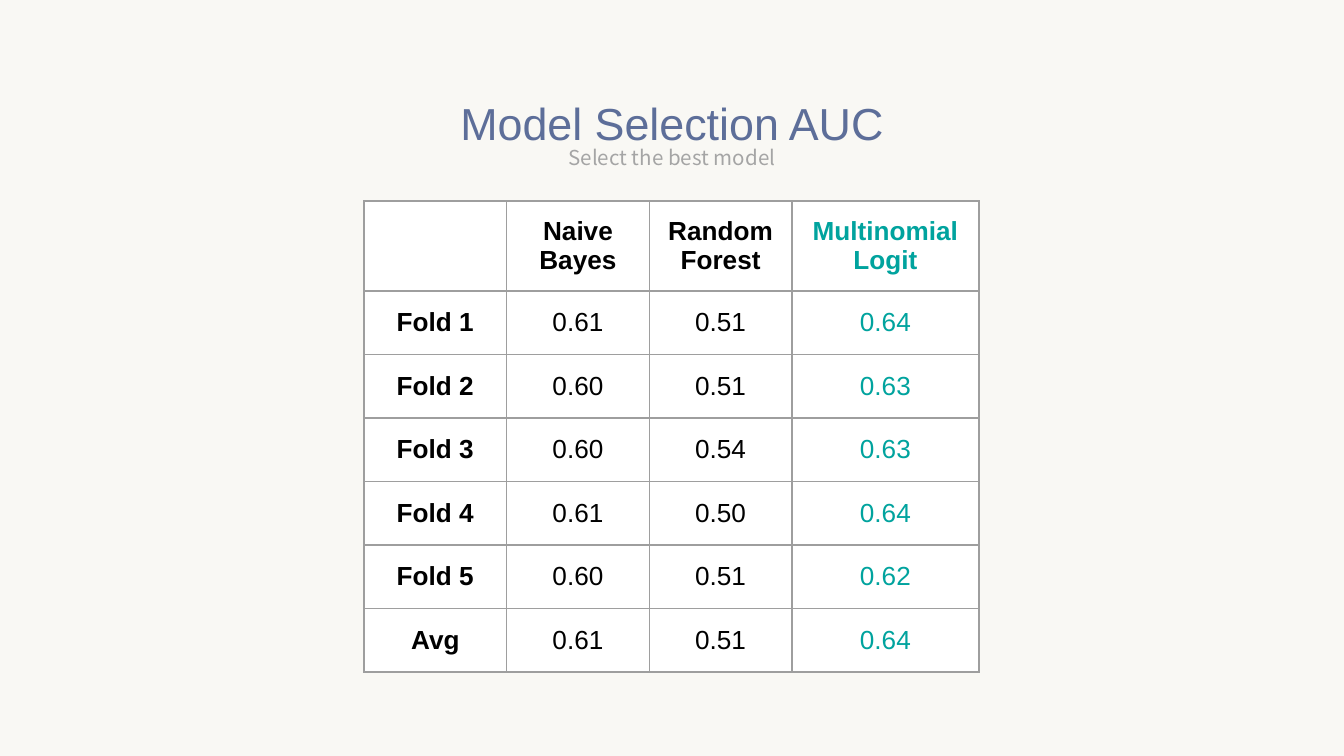
from lxml.etree import SubElement
from pptx import Presentation
from pptx.dml.color import RGBColor
from pptx.enum.text import MSO_ANCHOR as Anchor, PP_ALIGN as Align
from pptx.oxml.ns import qn
from pptx.util import Pt

PX = 914400 / 134.4
COLORS = {
    "background": "F9F8F4",
    "title": "5D6E99",
    "subtitle": "A5A5A5",
    "cell": "FFFFFF",
    "border": "9E9E9E",
    "text": "000000",
    "best": "00A39E",
}
MODELS = ["", "Naive Bayes", "Random Forest", "Multinomial Logit"]
SCORES = [
    ["Fold 1", "0.61", "0.51", "0.64"],
    ["Fold 2", "0.60", "0.51", "0.63"],
    ["Fold 3", "0.60", "0.54", "0.63"],
    ["Fold 4", "0.61", "0.50", "0.64"],
    ["Fold 5", "0.60", "0.51", "0.62"],
    ["Avg", "0.61", "0.51", "0.64"],
]
BEST_COLUMN = 3


def px(length):
    return round(length * PX)


def color(name):
    return RGBColor.from_string(COLORS[name])


def set_margins(target, left, top, right, bottom):
    margins = {"margin_left": left, "margin_top": top,
               "margin_right": right, "margin_bottom": bottom}
    for name, value in margins.items():
        setattr(target, name, px(value))


def write(frame, wording, color_name, **font_format):
    frame.word_wrap = True
    paragraph = frame.paragraphs[0]
    paragraph.alignment = Align.CENTER
    run = paragraph.add_run()
    run.text = wording
    run.font.color.rgb = color(color_name)
    for name, value in font_format.items():
        setattr(run.font, name, value)
    return paragraph


def add_heading(slide, left, top, width):
    subtitle = slide.shapes.add_textbox(
        px(left + 144), px(top + 65), px(width - 288), px(35)).text_frame
    set_margins(subtitle, 9, 5, 9, 5)
    subtitle.vertical_anchor = Anchor.MIDDLE
    write(subtitle, "Select the best model", "subtitle",
          size=Pt(11), name="Noto Sans CJK SC")

    title = slide.shapes.add_textbox(
        px(left), px(top), px(width), px(65)).text_frame
    set_margins(title, 9, 10, 9, 5)
    title.vertical_anchor = Anchor.TOP
    line = write(title, "Model Selection AUC", "title",
                 size=Pt(24), name="Arial")
    line.line_spacing = 1.2


def add_borders(cell):
    """Put a thin line on all four sides; call before setting the fill."""
    properties = cell._tc.get_or_add_tcPr()
    for side in ("a:lnL", "a:lnR", "a:lnT", "a:lnB"):
        border = SubElement(properties, qn(side), w=str(Pt(0.75)))
        fill = SubElement(border, qn("a:solidFill"))
        SubElement(fill, qn("a:srgbClr"), val=COLORS["border"])


def add_score_table(slide, left, top, width, height):
    header_height, best_width = 90, 187
    rows = [MODELS] + SCORES
    table = slide.shapes.add_table(
        len(rows), len(MODELS), px(left), px(top), px(width), px(height)).table
    table.first_row = table.horz_banding = False

    for index, column in enumerate(table.columns):
        shared = (width - best_width) / (len(MODELS) - 1)
        column.width = px(best_width if index == BEST_COLUMN else shared)
    for index, row in enumerate(table.rows):
        shared = (height - header_height) / len(SCORES)
        row.height = px(shared if index else header_height)

    for r, entries in enumerate(rows):
        for c, entry in enumerate(entries):
            cell = table.cell(r, c)
            add_borders(cell)
            cell.fill.solid()
            cell.fill.fore_color.rgb = color("cell")
            cell.vertical_anchor = Anchor.MIDDLE
            set_margins(cell, 13, 13, 13, 13)
            if entry:
                write(cell.text_frame, entry,
                      "best" if c == BEST_COLUMN else "text",
                      size=Pt(14), name="Arial", bold=r == 0 or c == 0)


def main():
    deck = Presentation()
    deck.slide_width, deck.slide_height = px(1344), px(756)
    slide = deck.slides.add_slide(deck.slide_layouts[6])
    slide.background.fill.solid()
    slide.background.fill.fore_color.rgb = color("background")
    add_heading(slide, 384, 75, 576)
    add_score_table(slide, 364, 201, 615, 471)
    deck.save("out.pptx")


if __name__ == "__main__":
    main()
